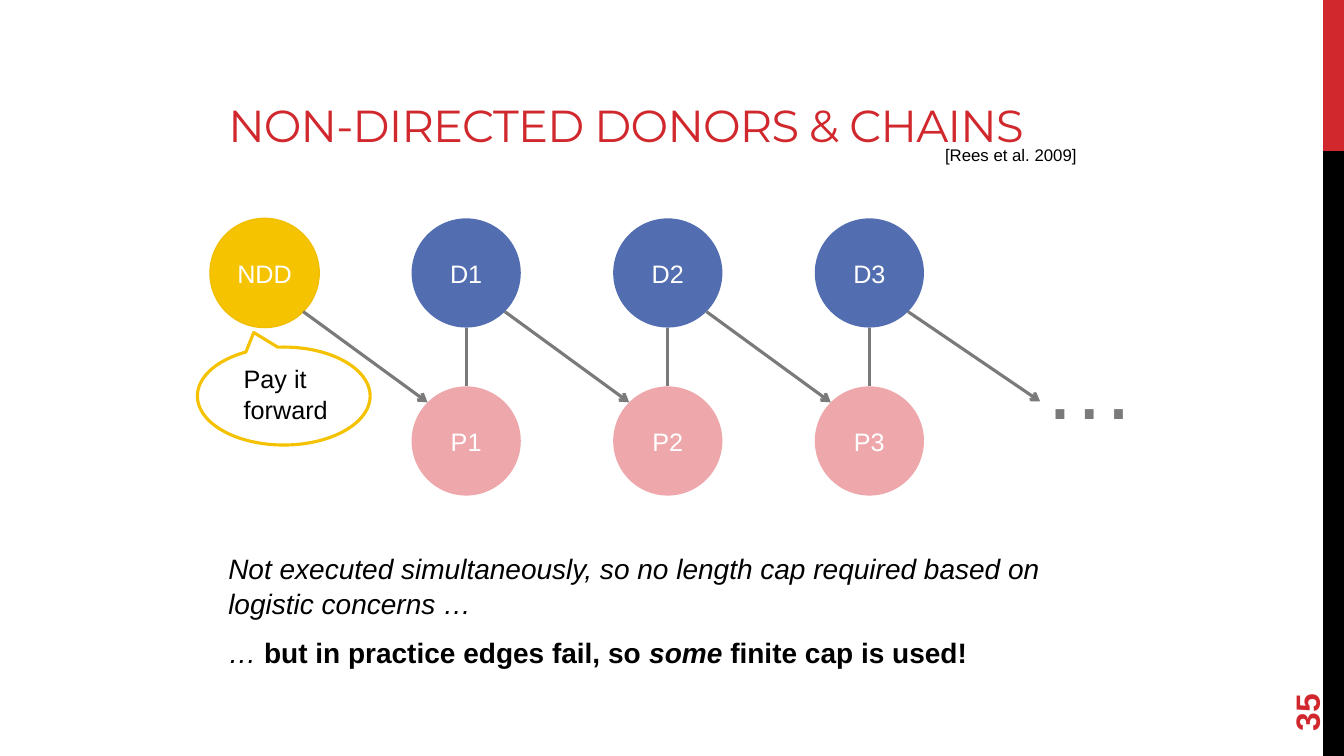
from math import sqrt

from lxml.etree import SubElement
from pptx import Presentation
from pptx.dml.color import RGBColor
from pptx.enum.shapes import MSO_CONNECTOR as CXN, MSO_SHAPE as SHAPE
from pptx.enum.text import MSO_ANCHOR as ANCHOR, PP_ALIGN as ALIGN
from pptx.oxml.ns import qn
from pptx.util import Pt

RED = RGBColor(0xD1, 0x28, 0x2E)
BLACK = RGBColor(0, 0, 0)
WHITE = RGBColor(0xFF, 0xFF, 0xFF)
GOLD = RGBColor(0xF6, 0xC3, 0x00)
GOLD_EDGE = RGBColor(0xF1, 0xBE, 0x00)
CALLOUT_EDGE = RGBColor(0xF5, 0xC2, 0x01)
BLUE = RGBColor(0x52, 0x6D, 0xB0)
PINK = RGBColor(0xEE, 0xA7, 0xAA)
GRAY = RGBColor(0x7A, 0x7A, 0x7A)

DIAMETER = 78
RADIUS = DIAMETER / 2
DIAGONAL = RADIUS / sqrt(2)
FIRST_X, PITCH = 189, 144
DONOR_Y, PATIENT_Y = 195, 315
PAIRS = 3


def add_run(p, text, **formats):
    r = p.add_run()
    r.text = text
    color = formats.pop("color", BLACK)
    for name, value in {"name": "Arial", **formats}.items():
        setattr(r.font, name, value)
    r.font.color.rgb = color
    return r


def add_shape(slide, kind, box, fill, edge=None, width=1):
    sp = slide.shapes.add_shape(kind, *map(Pt, box))
    sp.shadow.inherit = False
    sp.fill.solid()
    sp.fill.fore_color.rgb = fill
    if edge is None:
        sp.line.fill.background()
    else:
        sp.line.color.rgb = edge
        sp.line.width = Pt(width)
    return sp


def add_node(slide, label, x, y, fill, edge=None):
    """Add a labelled circle centred on (x, y)."""
    box = (x - RADIUS, y - RADIUS, DIAMETER, DIAMETER)
    sp = add_shape(slide, SHAPE.OVAL, box, fill, edge)
    tf = sp.text_frame
    tf.vertical_anchor = ANCHOR.MIDDLE
    p = tf.paragraphs[0]
    p.alignment = ALIGN.CENTER
    add_run(p, label, size=Pt(18), color=WHITE)
    return sp


def add_line(slide, start, end, arrow=False):
    line = slide.shapes.add_connector(CXN.STRAIGHT, *map(Pt, start + end))
    line.line.color.rgb = GRAY
    line.line.width = Pt(2.25)
    if arrow:
        SubElement(line.line._get_or_add_ln(), qn("a:tailEnd"), type="arrow")
    SubElement(line._element.spPr, qn("a:effectLst"))
    return line


def add_text_box(slide, box, anchor=ANCHOR.TOP):
    sp = slide.shapes.add_textbox(*map(Pt, box))
    sp.text_frame.word_wrap = True
    sp.text_frame.vertical_anchor = anchor
    return sp


def add_label(slide, text, box, anchor=ANCHOR.TOP, **formats):
    sp = add_text_box(slide, box, anchor)
    r = add_run(sp.text_frame.paragraphs[0], text, **formats)
    return sp, r


def add_side_bar(slide):
    add_shape(slide, SHAPE.RECTANGLE, (945, 0, 15, 108), RED)
    add_shape(slide, SHAPE.RECTANGLE, (945, 108, 15, 432), BLACK)
    number, _ = add_label(slide, "35", (881.3, 458.6, 103.7, 38.2), ANCHOR.MIDDLE,
                          size=Pt(24), bold=True, color=RED)
    number.rotation = 270


def add_title(slide):
    _, r = add_label(slide, "NON-DIRECTED DONORS & CHAINS", (156, 21.6, 648, 90),
                     ANCHOR.BOTTOM, name="Montserrat", size=Pt(32), color=RED)
    r.font._element.set("spc", "-60")
    add_label(slide, "[Rees et al. 2009]", (668, 100, 210, 21.8), size=Pt(12))


def add_chain(slide):
    """Draw the donor-patient pairs and the arrows from each donor to the next patient."""
    add_node(slide, "NDD", FIRST_X, DONOR_Y, GOLD, GOLD_EDGE)
    for i in range(1, PAIRS + 1):
        x = FIRST_X + i * PITCH
        patient = add_node(slide, f"P{i}", x, PATIENT_Y, PINK)
        add_node(slide, f"D{i}", x, DONOR_Y, BLUE)
        bond = add_line(slide, (x, PATIENT_Y - RADIUS), (x, DONOR_Y + RADIUS))
        bond.begin_connect(patient, 0)
    for i in range(PAIRS + 1):
        x = FIRST_X + i * PITCH
        if i < PAIRS:
            end = (x + PITCH - DIAGONAL, PATIENT_Y - DIAGONAL)
        else:
            end = (743, 286.8)
        add_line(slide, (x + DIAGONAL, DONOR_Y + DIAGONAL), end, arrow=True)
    add_label(slide, "…", (738, 230.4, 72, 87), size=Pt(66), color=GRAY)


def add_callout(slide):
    sp = add_shape(slide, SHAPE.OVAL_CALLOUT, (141, 247.9, 123.4, 70),
                   WHITE, CALLOUT_EDGE, 2.25)
    sp.adjustments[0], sp.adjustments[1] = -0.174, -0.649
    add_label(slide, "Pay it forward", (167, 256.3, 114.5, 51), size=Pt(18))


def add_remarks(slide):
    tf = add_text_box(slide, (156, 389, 648, 111.6)).text_frame
    remarks = [
        [("Not executed simultaneously, so no length cap required based on "
          "logistic concerns …", False, True)],
        [("… ", False, True), ("but in practice edges fail, so ", True, False),
         ("some", True, True), (" finite cap is used!", True, False)],
    ]
    for i, runs in enumerate(remarks):
        p = tf.add_paragraph() if i else tf.paragraphs[0]
        p.line_spacing = 1.05
        p.space_before = Pt(4 if i else 0)
        p.space_after = Pt(6)
        for text, bold, italic in runs:
            add_run(p, text, size=Pt(20), bold=bold, italic=italic)


def main():
    prs = Presentation()
    prs.slide_width, prs.slide_height = Pt(960), Pt(540)
    slide = prs.slides.add_slide(prs.slide_layouts[6])
    add_side_bar(slide)
    add_title(slide)
    add_remarks(slide)
    add_chain(slide)
    add_callout(slide)
    prs.save("out.pptx")


if __name__ == "__main__":
    main()
